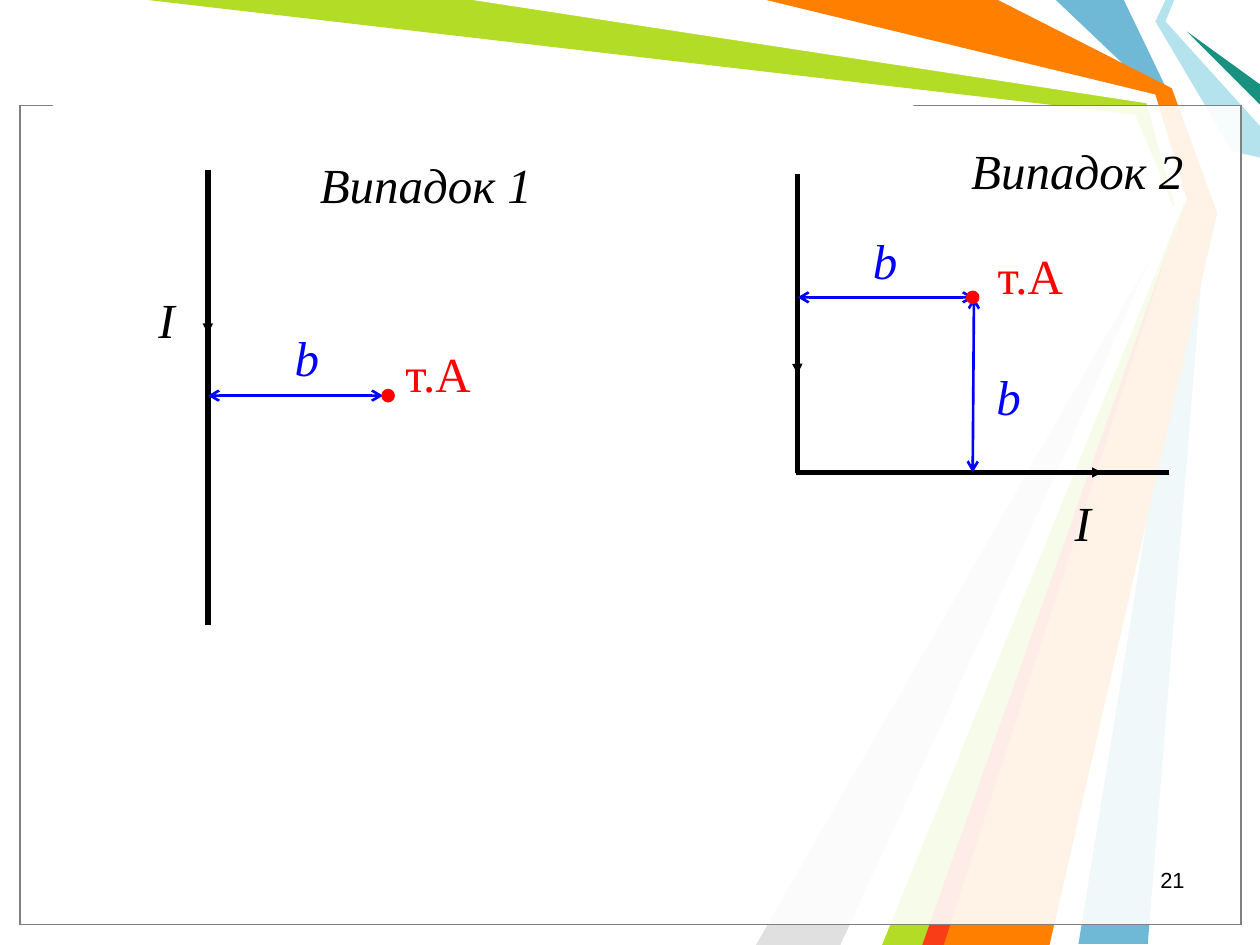
"""Build the slide with two cases of a current-carrying wire and a point A."""
from dataclasses import dataclass

from lxml import etree
from pptx import Presentation
from pptx import util as u
from pptx.dml import color as dml
from pptx.enum import shapes, text
from pptx.oxml import ns

BLACK, RED, BLUE, WHITE, GREY = "000000", "FF0000", "0000FF", "FFFFFF", "808080"
DOT_SIZE = 0.08


@dataclass
class Ribbon:
    color: str
    points: list[tuple[float, float]]


@dataclass
class Line:
    start: tuple[float, float]
    end: tuple[float, float]
    color: str
    width: float
    head: str = ""
    tail: str = ""


@dataclass
class Label:
    words: str
    left: float
    top: float
    width: float
    color: str = BLACK
    italic: bool = True


RIBBONS = [
    Ribbon("6FB9D7", [(8.92, 0), (9.29, 0.77), (9.58, 1.67), (9.11, 7.49), (8.56, 7.49),
                      (9.5, 1.67), (9.17, 0.75), (8.38, 0)]),
    Ribbon("B3DC27", [(1.17, 0), (3.83, 0), (9.14, 0.78), (9.42, 1.69), (7.42, 7.5),
                      (6.92, 7.5), (9.35, 1.73), (9.01, 0.91)]),
    Ribbon("E0E0E0", [(6.67, 7.5), (9.27, 1.81), (6, 7.5)]),
    Ribbon(WHITE, [(3.75, 0), (9.1, 0.82), (9.32, 1.62), (6.75, 7.5), (7, 7.5),
                   (9.41, 1.58), (9.17, 0.75), (6, 0)]),
    Ribbon("B4E3EE", [(9.25, 0), (9.17, 0.17), (9.78, 1.2), (10, 1.25), (10, 1),
                      (9.25, 0.17), (9.32, 0)]),
    Ribbon("189180", [(10, 0.83), (9.42, 0.25), (10, 0.67)]),
    Ribbon("FF7F00", [(6.08, 0), (7.92, 0), (9.3, 0.7), (9.66, 1.69), (8.33, 7.5),
                      (7.33, 7.5), (9.42, 1.58), (9.17, 0.75)]),
    Ribbon("F93D17", [(7.32, 7.5), (9.32, 1.83), (7.49, 7.5)]),
]
WIRES = [
    Line((1.65, 1.35), (1.65, 4.96), BLACK, 3),
    Line((6.33, 1.38), (6.33, 3.75), BLACK, 3),
    Line((9.28, 3.75), (6.32, 3.75), BLACK, 3),
]
CURRENTS = [
    Line(start, end, BLACK, 0.75, tail="triangle")
    for start, end in (
        ((1.65, 2.25), (1.65, 2.65)),
        ((6.32, 2.57), (6.33, 2.97)),
        ((8.35, 3.75), (8.75, 3.75)),
    )
]
DISTANCES = [
    Line(start, end, BLUE, 1.5, "arrow", "arrow")
    for start, end in (
        ((1.65, 3.14), (3.04, 3.14)),
        ((6.33, 2.36), (7.73, 2.36)),
        ((7.73, 2.36), (7.72, 3.75)),
    )
]
POINTS_A = [(3.04, 3.1), (7.68, 2.32)]
LABELS = [
    Label("I", 1.16, 2.25, 0.33),
    Label("I", 8.43, 3.86, 0.33),
    Label("т.А", 3.12, 2.68, 0.74, RED, False),
    Label("т.А", 7.82, 1.9, 0.74, RED, False),
    Label("b", 2.24, 2.55, 0.39, BLUE),
    Label("b", 6.83, 1.78, 0.39, BLUE),
    Label("b", 7.81, 2.86, 0.39, BLUE),
    Label("Випадок 1", 2.44, 1.18, 1.88),
    Label("Випадок 2", 7.61, 1.07, 1.88),
]


def rgb(value: str) -> dml.RGBColor:
    return dml.RGBColor.from_string(value)


def paint(shape, fill: str, line: str = "", width: float = 0) -> None:
    shape.shadow.inherit = False
    shape.fill.solid()
    shape.fill.fore_color.rgb = rgb(fill)
    if line:
        shape.line.color.rgb = rgb(line)
        shape.line.width = u.Pt(width)
    else:
        shape.line.fill.background()


def add_ribbon(slide, ribbon: Ribbon) -> None:
    start, *rest = [(u.Inches(x), u.Inches(y)) for x, y in ribbon.points]
    builder = slide.shapes.build_freeform(*start)
    builder.add_line_segments(rest, close=True)
    paint(builder.convert_to_shape(), ribbon.color)


def add_preset(slide, kind, left: float, top: float, width: float, height: float):
    return slide.shapes.add_shape(kind, *map(u.Inches, (left, top, width, height)))


def add_panel(slide, line: str) -> None:
    panel = add_preset(slide, shapes.MSO_SHAPE.RECTANGLE, 0.16, 0.84, 9.69, 6.5)
    paint(panel, WHITE, line, 0.75)
    fill_color = panel.fill._xPr.find(ns.qn("a:solidFill"))[0]
    etree.SubElement(fill_color, ns.qn("a:alpha"), val="69000")


def add_line(slide, line: Line) -> None:
    connector = slide.shapes.add_connector(
        shapes.MSO_CONNECTOR.STRAIGHT, *map(u.Inches, line.start + line.end))
    connector.line.color.rgb = rgb(line.color)
    connector.line.width = u.Pt(line.width)
    outline = connector.line._get_or_add_ln()
    for tag, arrow in (("a:headEnd", line.head), ("a:tailEnd", line.tail)):
        if arrow:
            etree.SubElement(outline, ns.qn(tag), type=arrow)
    etree.SubElement(connector._element.spPr, ns.qn("a:effectLst"))


def add_point(slide, left: float, top: float) -> None:
    dot = add_preset(slide, shapes.MSO_SHAPE.OVAL, left, top, DOT_SIZE, DOT_SIZE)
    paint(dot, RED, RED, 2)


def add_run(paragraph, words: str, font: str, size: float, color: str, italic: bool) -> None:
    run = paragraph.add_run()
    run.text = words
    run.font.name = font
    run.font.size = u.Pt(size)
    run.font.italic = italic
    run.font.color.rgb = rgb(color)


def add_label(slide, label: Label) -> None:
    box = slide.shapes.add_textbox(*map(u.Inches, (label.left, label.top, label.width, 0.57)))
    box.text_frame.word_wrap = False
    box.text_frame.auto_size = text.MSO_AUTO_SIZE.SHAPE_TO_FIT_TEXT
    add_run(box.text_frame.paragraphs[0], label.words, "Times New Roman", 28,
            label.color, label.italic)


def add_slide_number(slide, number: str) -> None:
    box = slide.shapes.add_textbox(*map(u.Inches, (7.17, 6.87, 2.33, 0.33)))
    box.text_frame.word_wrap = True
    paragraph = box.text_frame.paragraphs[0]
    paragraph.alignment = text.PP_ALIGN.RIGHT
    paragraph.line_spacing = 0.8
    add_run(paragraph, number, "Arial", 12.5, BLACK, False)


def main() -> None:
    presentation = Presentation()
    presentation.slide_width, presentation.slide_height = u.Inches(10), u.Inches(7.5)
    slide = presentation.slides.add_slide(presentation.slide_layouts[6])
    for ribbon in RIBBONS:
        add_ribbon(slide, ribbon)
    for line_color in (BLACK, GREY):
        add_panel(slide, line_color)
    title_gap = add_preset(slide, shapes.MSO_SHAPE.RECTANGLE, 0.42, 0.74, 6.83, 0.17)
    paint(title_gap, WHITE)
    add_slide_number(slide, "21")
    for line in WIRES + CURRENTS + DISTANCES:
        add_line(slide, line)
    for left, top in POINTS_A:
        add_point(slide, left, top)
    for label in LABELS:
        add_label(slide, label)
    presentation.save("out.pptx")


if __name__ == "__main__":
    main()
